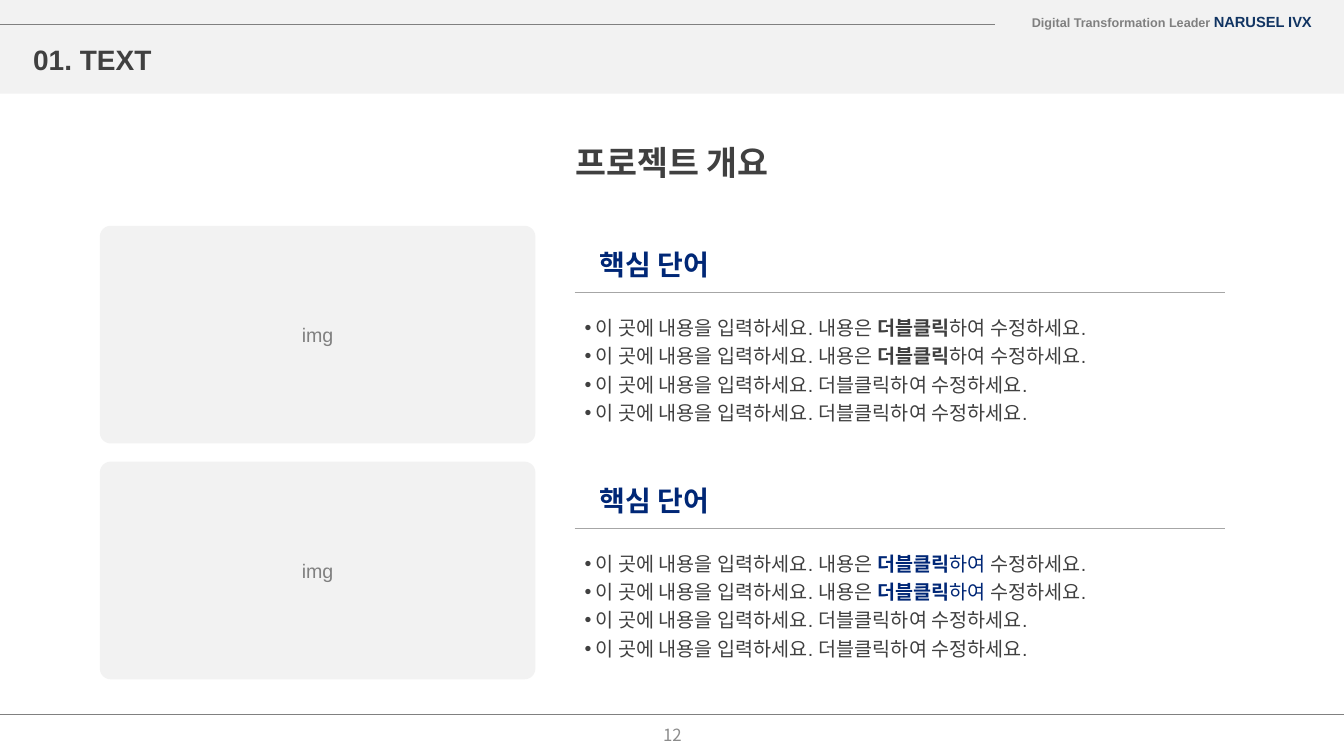
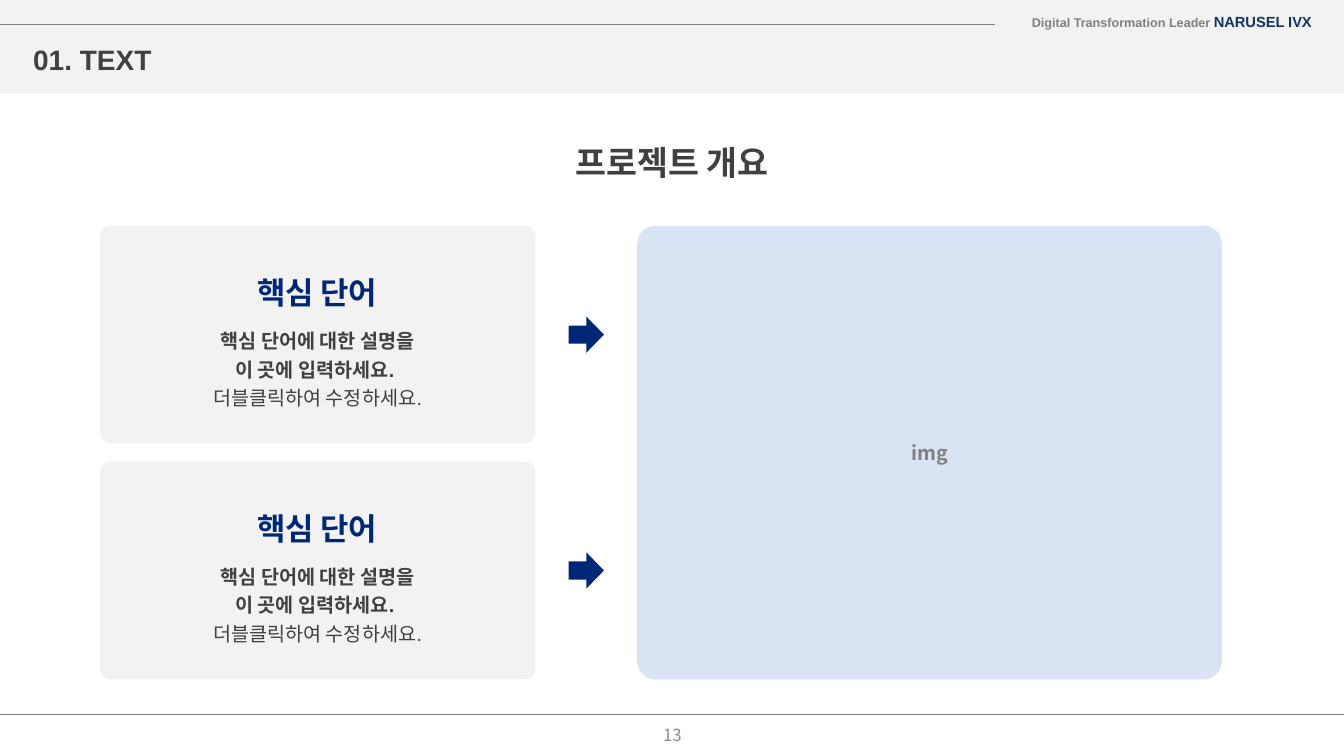
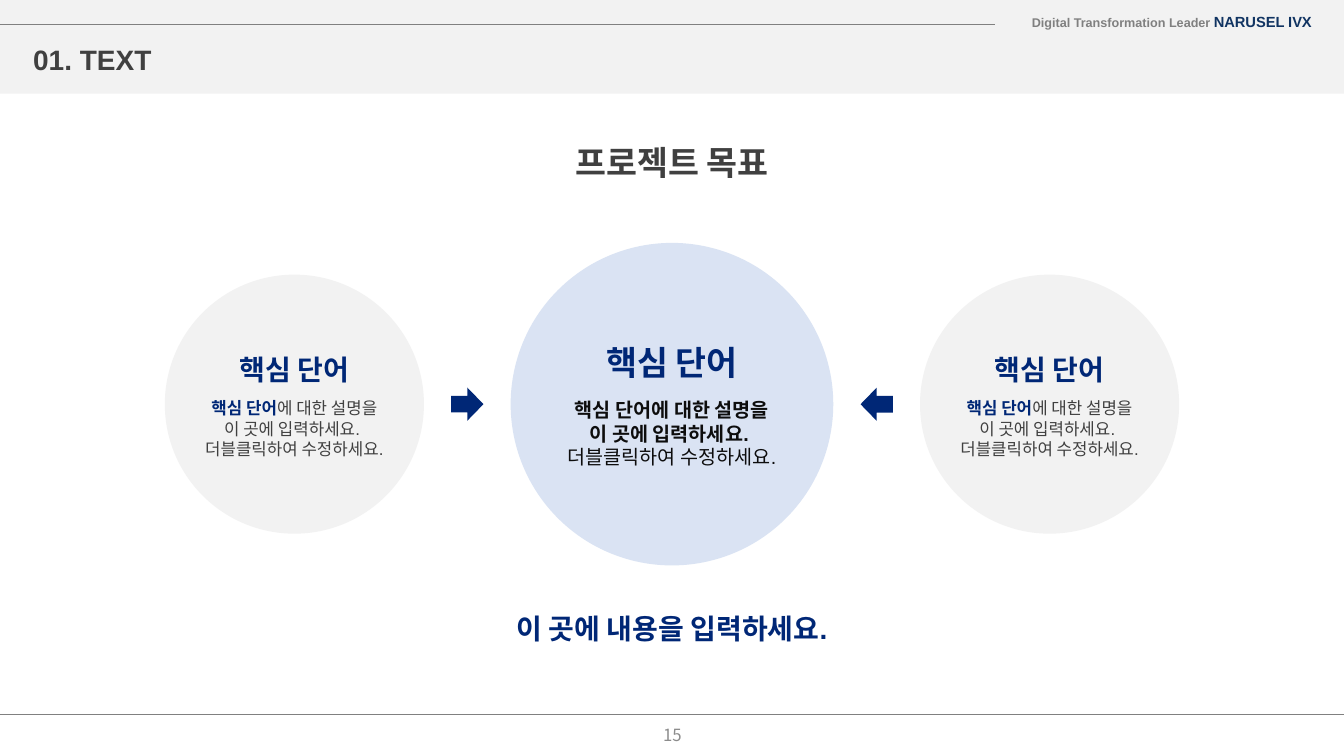
from lxml.etree import SubElement
from pptx import Presentation
from pptx.dml.color import RGBColor
from pptx.enum.shapes import MSO_CONNECTOR, MSO_SHAPE as SHAPE
from pptx.enum.text import MSO_ANCHOR as ANCHOR, MSO_AUTO_SIZE as FIT, PP_ALIGN as ALIGN
from pptx.oxml.ns import qn
from pptx.util import Inches, Pt

COLORS = {
    "band": "F2F2F2", "pale": "DAE3F3", "navy": "002776", "brand": "113462",
    "dark": "404040", "black": "0D0D0D", "gray": "808080", "rule": "A6A6A6",
    "number": "8C8C8C",
}
LATIN, KOREAN = "Arial", "Noto Sans CJK KR"
WIDTH, HEIGHT = 13.33, 7.5
CARD_X, CARD_Y, CARD_W, CARD_H, PITCH = 0.99, 2.24, 4.32, 2.16, 2.34
CARD_TOPS = [CARD_Y, CARD_Y + PITCH]

# Content: a paragraph is a list of (text, format changes)
SECTION = "01. TEXT"
TAGLINE = [[("Digital Transformation Leader ", {}),
            ("NARUSEL IVX", {"size": 10.5, "color": "brand"})]]
OVERVIEW, GOAL = "프로젝트 개요", "프로젝트 목표"
KEYWORD = "핵심 단어"
CLOSING = "이 곳에 내용을 입력하세요."
BOLD, NAVY = {"bold": True}, {"color": "navy"}
NAVY_BOLD = {**NAVY, **BOLD}

LEAD = ("이 곳에 내용을 입력하세요. 내용은 ", {})
PLAIN = [("이 곳에 내용을 입력하세요. 더블클릭하여 수정하세요.", {})]
BULLETS = [
    [[LEAD, ("더블클릭", BOLD), ("하여 수정하세요.", {})]] * 2 + [PLAIN] * 2,
    [[LEAD, ("더블클릭", NAVY_BOLD), ("하여 ", NAVY), ("수정하세요.", {})]] * 2 + [PLAIN] * 2,
]
ABOUT, ENTER, EDIT = "에 대한 설명을", "이 곳에 입력하세요. ", "더블클릭하여 수정하세요."
STRONG_NOTE = [[(KEYWORD + ABOUT, BOLD)], [(ENTER, BOLD)], [(EDIT, {})]]
LIGHT_NOTE = [[(KEYWORD, NAVY_BOLD), (ABOUT, {})], [(ENTER, {})], [(EDIT, {})]]

SIDE = {"d": 2.57, "fill": "band", "note": LIGHT_NOTE, "note_w": 2.17, "note_h": 0.71,
        "size": 12, "color": "dark", "head_size": 20, "head_y": 3.47}
CENTER = {"d": 3.2, "fill": "pale", "note": STRONG_NOTE, "note_w": 2.63, "note_h": 0.81,
          "size": 14, "color": "black", "head_size": 24, "head_y": 3.4}
CIRCLES = [SIDE, CENTER, SIDE]


# Helpers
def rgb(name):
    return RGBColor.from_string(COLORS[name])


def write(tf, paras, size=14, color="dark", bold=False, font=LATIN, align=ALIGN.CENTER,
          anchor=ANCHOR.MIDDLE, spacing=None, bullet=None, fit=FIT.NONE):
    """Fill a text frame with a string or a list of paragraphs."""
    tf.word_wrap, tf.vertical_anchor, tf.auto_size = True, anchor, fit
    if isinstance(paras, str):
        paras = [[(paras, {})]]
    for i, runs in enumerate(paras):
        p = tf.add_paragraph() if i else tf.paragraphs[0]
        p.alignment = align
        if spacing:
            p.line_spacing = spacing
        if bullet:
            pPr = p._p.get_or_add_pPr()
            pPr.set("marL", str(Inches(0.11)))
            pPr.set("indent", str(-Inches(0.11)))
            SubElement(pPr, qn("a:buFont"), typeface=LATIN)
            SubElement(pPr, qn("a:buChar"), char=bullet)
        for text, changes in runs:
            style = {"size": size, "color": color, "bold": bold, **changes}
            r = p.add_run()
            r.text = text
            r.font.size, r.font.bold = Pt(style["size"]), style["bold"]
            r.font.color.rgb = rgb(style["color"])
            r.font.name = font
            SubElement(r._r.get_or_add_rPr(), qn("a:ea"), typeface=KOREAN)


def add_text(s, x, y, w, h, paras, **fmt):
    box = s.shapes.add_textbox(*map(Inches, (x, y, w, h)))
    write(box.text_frame, paras, **fmt)


def add_shape(s, kind, x, y, w, h, fill, radius=None, text=None, **fmt):
    sp = s.shapes.add_shape(kind, *map(Inches, (x, y, w, h)))
    sp.shadow.inherit = False
    sp.fill.solid()
    sp.fill.fore_color.rgb = rgb(fill)
    sp.line.fill.background()
    if radius:
        sp.adjustments[0] = radius
    if text:
        write(sp.text_frame, text, **fmt)
    return sp


def add_rule(s, x1, x2, y, color="gray"):
    line = s.shapes.add_connector(MSO_CONNECTOR.STRAIGHT, *map(Inches, (x1, y, x2, y)))
    line.line.color.rgb, line.line.width = rgb(color), Pt(0.5)
    SubElement(line._element.spPr, qn("a:effectLst"))


def add_card(s, top, **kw):
    add_shape(s, SHAPE.ROUNDED_RECTANGLE, CARD_X, top, CARD_W, CARD_H, "band", 0.05, **kw)


def new_slide(prs, title, number):
    s = prs.slides.add_slide(prs.slide_layouts[5])
    add_shape(s, SHAPE.RECTANGLE, 0, 0, WIDTH, 0.93, "band")
    add_text(s, 9.97, 0.1, 3.14, 0.28, TAGLINE, size=9, color="gray", bold=True,
             align=ALIGN.RIGHT, spacing=0.7)
    add_text(s, 0.23, 0.38, 5.19, 0.42, SECTION, size=20, bold=True, align=ALIGN.LEFT)
    add_rule(s, 0, 9.87, 0.24)
    add_rule(s, 0, WIDTH, 7.09)
    t = s.shapes.title
    t.left, t.top, t.width, t.height = map(Inches, (4.07, 1.4, 5.19, 0.42))
    write(t.text_frame, title, size=24, bold=True)
    add_text(s, 5.17, 7.09, 3, 0.4, str(number), size=12, color="number", font=KOREAN)
    return s


# Slides
def bullets_slide(prs):
    s = new_slide(prs, OVERVIEW, 12)
    for top, bullets in zip(CARD_TOPS, BULLETS):
        add_card(s, top, text="img", color="gray")
        add_text(s, 5.85, top + 0.17, 2.31, 0.42, KEYWORD, size=20, color="navy",
                 bold=True, align=ALIGN.LEFT)
        add_rule(s, 5.7, 12.15, top + 0.66, "rule")
        add_text(s, 5.7, top + 0.8, 5.9, 1.23, bullets, align=ALIGN.LEFT, anchor=ANCHOR.TOP,
                 spacing=1.2, bullet="•", fit=FIT.SHAPE_TO_FIT_TEXT)


def cards_slide(prs):
    s = new_slide(prs, OVERVIEW, 13)
    for top in CARD_TOPS:
        add_card(s, top)
        add_text(s, 1.99, top + 0.45, 2.31, 0.42, KEYWORD, size=22, color="navy", bold=True)
        add_text(s, 1.56, top + 0.93, 3.18, 0.95, STRONG_NOTE, anchor=ANCHOR.TOP,
                 spacing=1.2, fit=FIT.SHAPE_TO_FIT_TEXT)
        add_shape(s, SHAPE.RIGHT_ARROW, 5.64, top + (CARD_H - 0.36) / 2, 0.35, 0.36, "navy")
    add_shape(s, SHAPE.ROUNDED_RECTANGLE, 6.32, CARD_Y, 5.8, PITCH + CARD_H, "pale", 0.04,
              text="img", color="gray", bold=True, font=KOREAN)


def circles_slide(prs):
    s = new_slide(prs, GOAL, 15)
    gap, mid_y, arrow_w, arrow_h = 0.86, 4.01, 0.32, 0.33
    x = (WIDTH - sum(c["d"] for c in CIRCLES) - gap * (len(CIRCLES) - 1)) / 2
    for i, c in enumerate(CIRCLES):
        d, mid_x = c["d"], x + c["d"] / 2
        add_shape(s, SHAPE.OVAL, x, mid_y - d / 2, d, d, c["fill"])
        add_text(s, mid_x - c["note_w"] / 2, 3.9, c["note_w"], c["note_h"], c["note"],
                 size=c["size"], color=c["color"], anchor=ANCHOR.TOP,
                 fit=FIT.SHAPE_TO_FIT_TEXT)
        add_text(s, mid_x - 0.95, c["head_y"], 1.9, 0.38, KEYWORD, size=c["head_size"],
                 color="navy", bold=True)
        x += d + gap
        if i < len(CIRCLES) - 1:
            arrow = add_shape(s, SHAPE.RIGHT_ARROW, x - (gap + arrow_w) / 2,
                              mid_y - arrow_h / 2, arrow_w, arrow_h, "navy")
            arrow.rotation = 180 * i  # both arrows point to the centre
    add_text(s, 3.35, 6.02, 6.63, 0.42, CLOSING, size=20, color="navy", bold=True)


def main():
    prs = Presentation()
    prs.slide_width, prs.slide_height = Inches(WIDTH), Inches(HEIGHT)
    for build in (bullets_slide, cards_slide, circles_slide):
        build(prs)
    prs.save("out.pptx")


if __name__ == "__main__":
    main()
